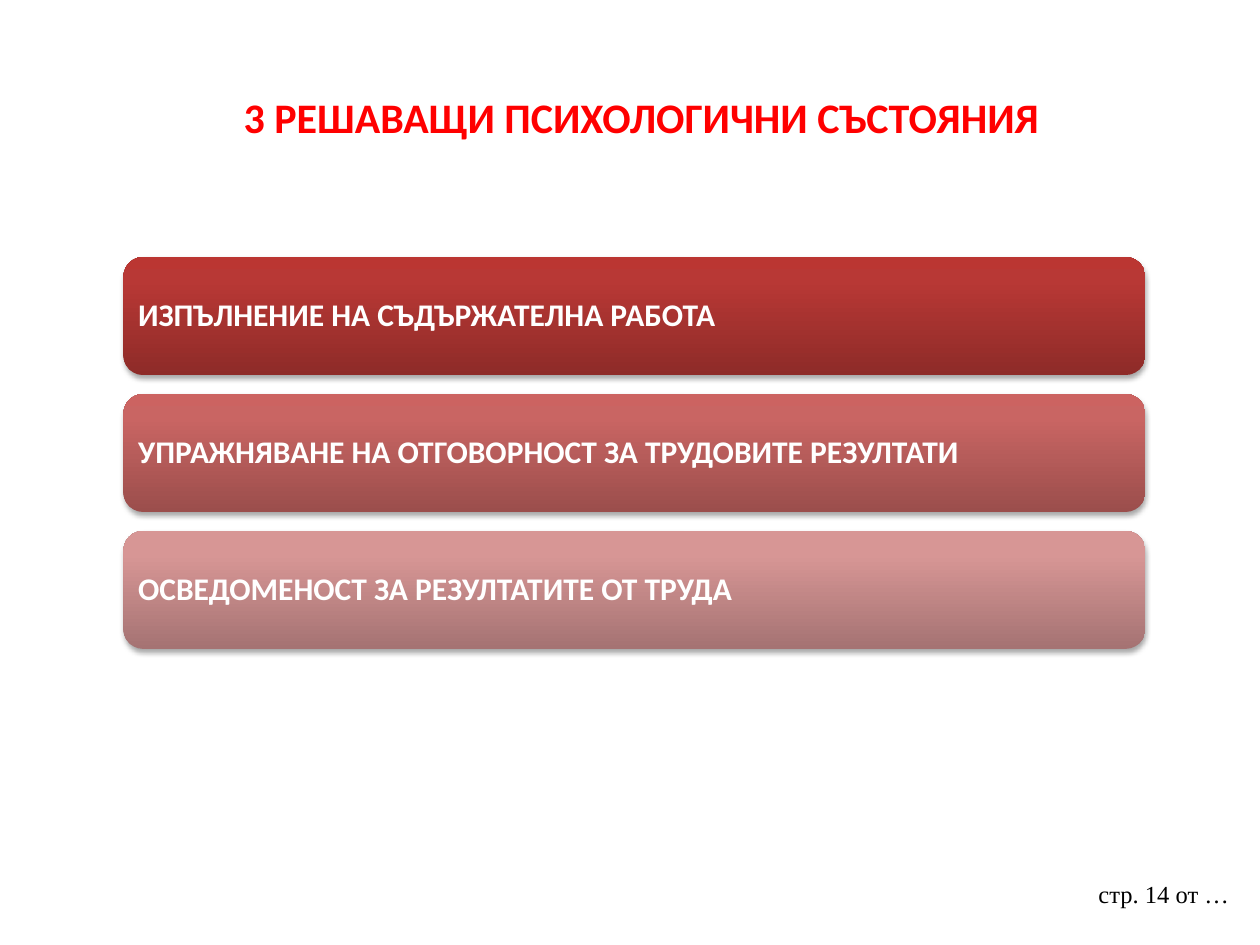
from lxml import etree
from pptx import Presentation
from pptx.dml.color import RGBColor
from pptx.enum.shapes import MSO_SHAPE as Kind
from pptx.enum.text import MSO_ANCHOR as Anchor, PP_ALIGN as Align
from pptx.oxml import parse_xml
from pptx.oxml.ns import nsdecls, qn
from pptx.util import Inches, Pt

STATES = [
    ("ИЗПЪЛНЕНИЕ НА СЪДЪРЖАТЕЛНА РАБОТА", ("8E2B28", "B83835", "BB3632")),
    ("УПРАЖНЯВАНЕ НА ОТГОВОРНОСТ ЗА ТРУДОВИТЕ РЕЗУЛТАТИ",
     ("9B4E4C", "C96563", "CC6361")),
    ("ОСВЕДОМЕНОСТ ЗА РЕЗУЛТАТИТЕ ОТ ТРУДА", ("A57373", "D79695", "D99594")),
]


def color(code):
    return RGBColor.from_string(code)


def write(frame, text, size, code, font="Calibri", bold=True, align=Align.LEFT):
    frame.word_wrap = True
    para = frame.paragraphs[0]
    para.text = text
    para.alignment = align
    para.font.size = Pt(size)
    para.font.name = font
    para.font.bold = bold
    para.font.color.rgb = color(code)
    return para


def add_label(slide, box, *args, **style):
    label = slide.shapes.add_textbox(*map(Inches, box))
    write(label.text_frame, *args, **style)


def shade(shape, codes):
    """Fill from bottom to top through three colours."""
    stops = "".join(
        f'<a:gs pos="{pos}000"><a:srgbClr val="{code}"/></a:gs>'
        for pos, code in zip((0, 80, 100), codes))
    grad = parse_xml(
        f'<a:gradFill {nsdecls("a")} rotWithShape="1"><a:gsLst>{stops}</a:gsLst>'
        '<a:lin ang="16200000" scaled="0"/></a:gradFill>')
    shape._element.spPr.find(qn("a:prstGeom")).addnext(grad)


def drop_shadow(shape):
    shape.shadow.inherit = False
    effects = shape._element.spPr.find(qn("a:effectLst"))
    outer = etree.SubElement(
        effects, qn("a:outerShdw"), blurRad=str(Pt(3.1)), dist=str(Pt(1.8)),
        dir="5400000", rotWithShape="0")
    black = etree.SubElement(outer, qn("a:srgbClr"), val="000000")
    etree.SubElement(black, qn("a:alpha"), val="35000")


def add_bar(slide, box, text, codes):
    bar = slide.shapes.add_shape(Kind.ROUNDED_RECTANGLE, *map(Inches, box))
    shade(bar, codes)
    bar.line.fill.background()
    drop_shadow(bar)
    frame = bar.text_frame
    frame.vertical_anchor = Anchor.MIDDLE
    frame.margin_left = frame.margin_right = Inches(0.07)
    frame.margin_top = frame.margin_bottom = Inches(0.07)
    write(frame, text, 18, "FFFFFF").line_spacing = 0.9


def add_list(slide, box, gap=0.15):
    left, top, width, height = box
    step = (height + gap) / len(STATES)
    for i, (text, codes) in enumerate(STATES):
        add_bar(slide, (left, top + i * step, width, step - gap), text, codes)


def main():
    deck = Presentation()
    deck.slide_width, deck.slide_height = Inches(10), Inches(7.5)
    slide = deck.slides.add_slide(deck.slide_layouts[6])
    add_label(slide, (8.62, 6.93, 1.3, 0.52), "стр. 14 от …", 14, "000000",
              font="Times New Roman", bold=False)
    add_label(slide, (0.59, 0.68, 9, 1.25), "3 РЕШАВАЩИ ПСИХОЛОГИЧНИ СЪСТОЯНИЯ",
              24, "FF0000", align=Align.CENTER)
    add_list(slide, (0.98, 2.04, 8.11, 3.11))
    deck.save("out.pptx")


if __name__ == "__main__":
    main()
